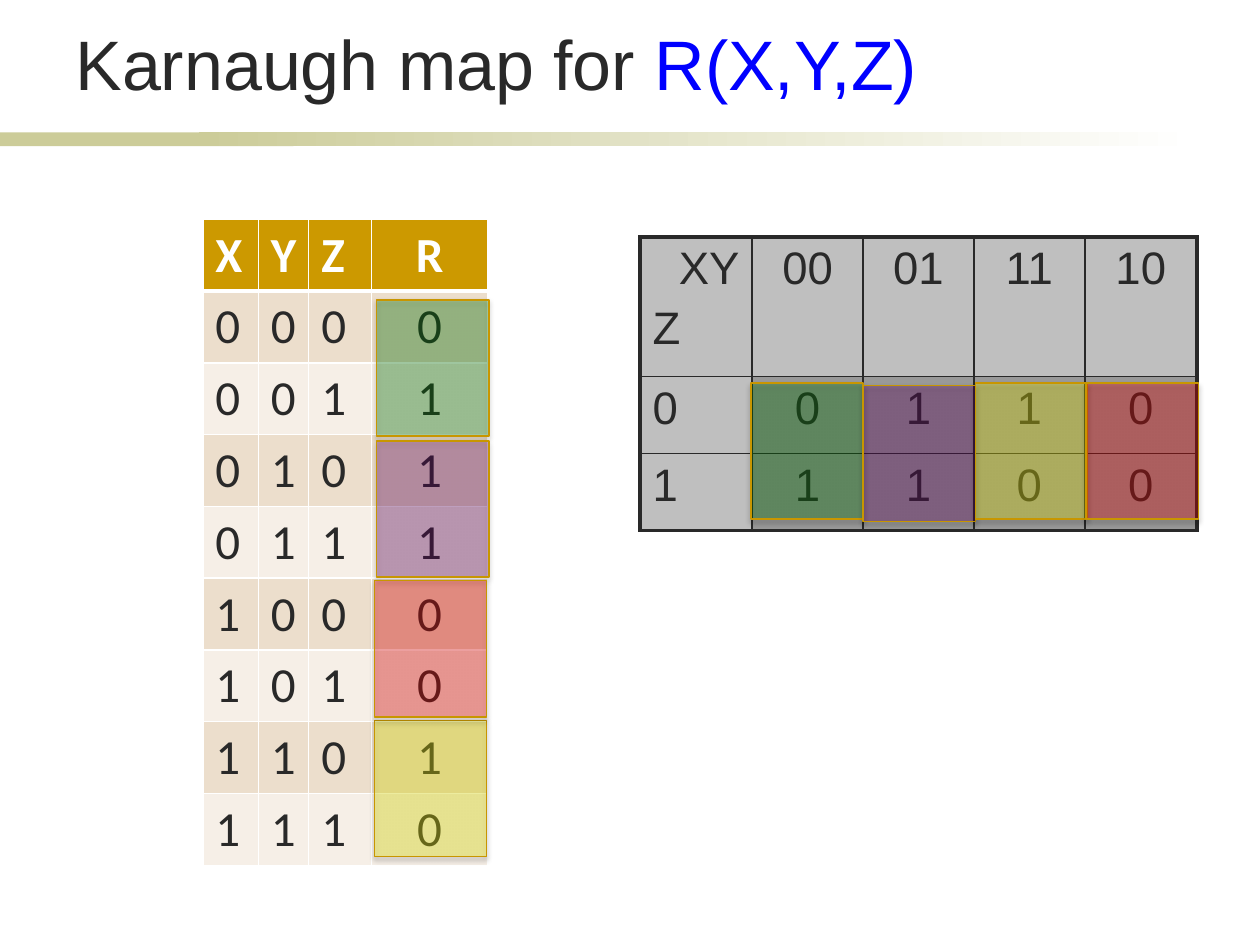
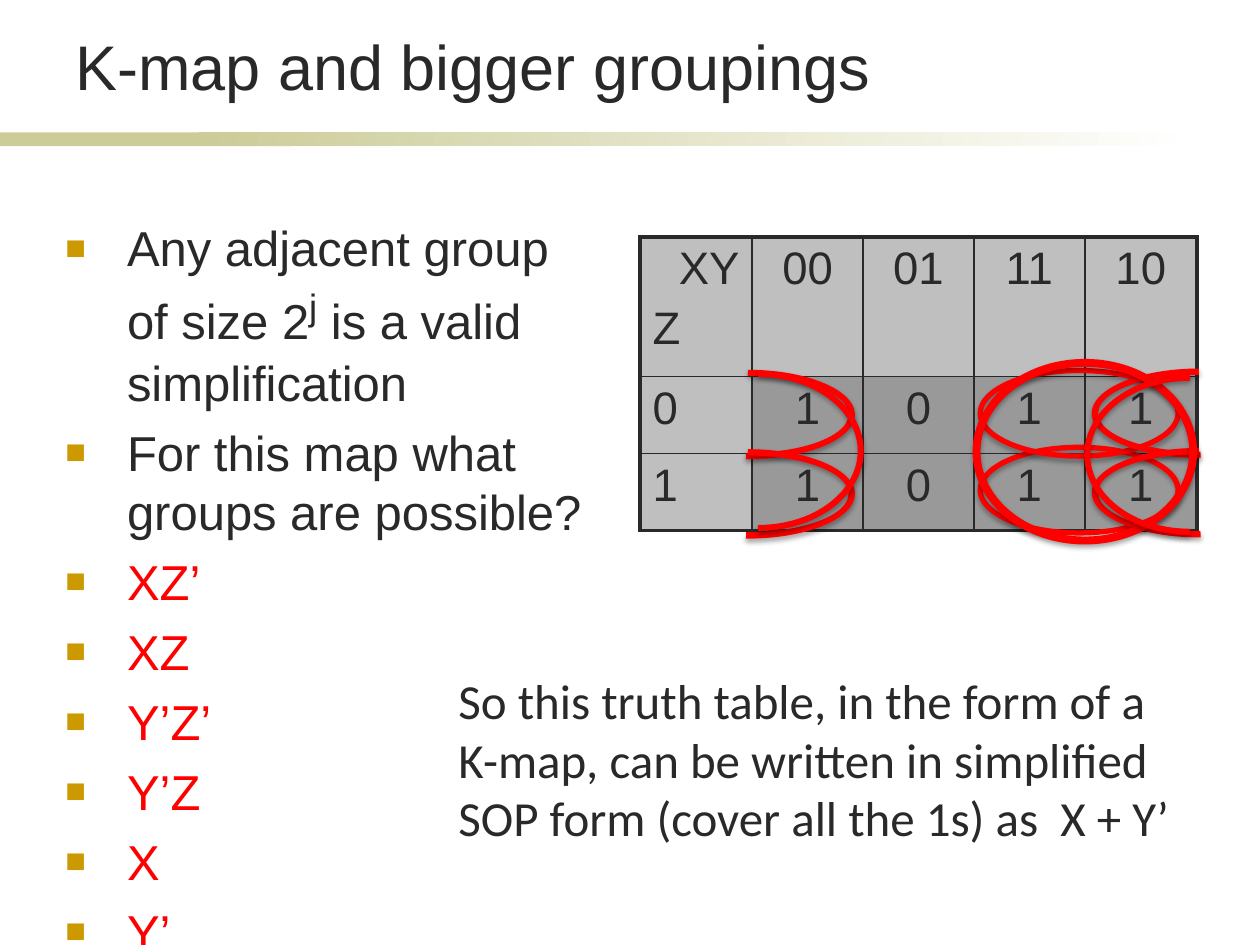
from lxml import etree
from pptx import Presentation
from pptx.dml.color import RGBColor
from pptx.enum.shapes import MSO_SHAPE
from pptx.enum.text import MSO_ANCHOR, PP_ALIGN
from pptx.oxml import parse_xml
from pptx.oxml.ns import nsdecls, qn
from pptx.util import Inches, Pt

COLORS = {
    "ink": "292929", "blue": "0000FF", "red": "FF0000", "white": "FFFFFF",
    "band": "CCCC99", "gold": "CC9900", "gold_line": "C89600",
    "label": "BFBFBF", "value": "999999", "odd": "ECDECC", "even": "F6EFE7",
    "green": "008000", "purple": "660066", "yellow": "FFFF00",
}

TITLE_1 = [("Karnaugh map for ", "ink"), ("R(X,Y,Z)", "blue")]
TITLE_2 = [("K-map and bigger groupings", "ink")]

TRUTH_TABLE = ["XYZR", "0000", "0011", "0101", "0111",
               "1000", "1010", "1101", "1110"]
TRUTH_LEFT, TRUTH_TOP = 1.61, 1.74
TRUTH_COLS = [0.44, 0.4, 0.5, 0.92]
TRUTH_ROW = 0.57

MAP_HEADS = ["00", "01", "11", "10"]
MAP_1 = ["0110", "1100"]
MAP_2 = ["1011", "1011"]
MAP_LEFT, MAP_TOP = 5.08, 1.88
MAP_COLS = [0.89, 0.88, 0.88, 0.88, 0.89]
MAP_ROWS = [1.11, 0.61, 0.61]

# colour, place over the truth table, place over the map
PAIR_SIZE = (0.89, 1.08)
PAIRS = [
    ("green", (2.99, 2.38), (5.96, 3.04)),
    ("purple", (2.99, 3.5), (6.85, 3.06)),
    ("yellow", (2.97, 5.72), (7.74, 3.04)),
    ("red", (2.97, 4.61), (8.62, 3.04)),
]

BULLETS = [
    [("Any adjacent group of size 2", "ink"), ("j", "ink", 36, 30),
     (" is a valid simplification", "ink")],
    [("For this map what groups are possible? ", "ink")],
] + [[(term, "red")] for term in ("XZ’", "XZ", "Y’Z’", "Y’Z", "X", "Y’")]
SUMMARY = [("So this truth table, in the form of a K-map, can be written in "
            "simplified SOP form (cover all the 1s) as  X + Y’", "ink")]

# place and line width of the closed loops
ROW_LOOPS = [((7.78, 3.55, 1.57, 0.68), 3), ((7.78, 2.94, 1.57, 0.68), 3)]
SQUARE_LOOP = ((7.75, 2.88, 1.72, 1.41), 4.5)
# left place, right place, size, adjustments, outline width
ROW_ARC = ((0.71, 1.7), (108, 1.443, 0.071), None)
WRAP_LOOPS = [
    ((5.58, 2.44), (9.16, 2.43), *ROW_ARC),
    ((5.58, 3.07), (9.16, 3.06), *ROW_ARC),
]
WRAP_SQUARE = ((5.39, 2.75), (8.81, 2.78), (1.26, 1.66), (108, 216, 0.03), 0.75)


def rgb(name):
    """Return the named colour."""
    return RGBColor.from_string(COLORS[name])


def write(paragraph, runs, size, font="Arial", bold=False):
    """Add runs given as (text, colour[, size, superscript percent])."""
    for text, color, *special in runs:
        run = paragraph.add_run()
        run.text = text
        run.font.name, run.font.bold = font, bold
        run.font.size = Pt(special[0] if special else size)
        run.font.color.rgb = rgb(color)
        if special:
            run._r.get_or_add_rPr().set("baseline", str(special[1] * 1000))


def add_text(slide, place, paragraphs, size, font="Arial", anchor=MSO_ANCHOR.TOP):
    """Add a wrapped text box and return its paragraphs."""
    frame = slide.shapes.add_textbox(*map(Inches, place)).text_frame
    frame.word_wrap = True
    frame.vertical_anchor = anchor
    for i, runs in enumerate(paragraphs):
        write(frame.add_paragraph() if i else frame.paragraphs[0], runs, size, font)
    return frame.paragraphs


def add_bullet(paragraph):
    """Give a paragraph a hanging gold square."""
    paragraph.space_before = Pt(6.4)
    props = paragraph._p.get_or_add_pPr()
    props.set("marL", str(Inches(0.49)))
    props.set("indent", str(-Inches(0.49)))
    for xml in (f'<a:buClr {nsdecls("a")}><a:srgbClr val="{COLORS["gold"]}"/></a:buClr>',
                f'<a:buSzPct {nsdecls("a")} val="70000"/>',
                f'<a:buFont {nsdecls("a")} typeface="Arial"/>',
                f'<a:buChar {nsdecls("a")} char="■"/>'):
        props.append(parse_xml(xml))


def add_shape(slide, kind, place, fill=None, opacity=100, line=None, width=1, shadow=True):
    """Add a preset shape, with a soft shadow below it if wanted."""
    shape = slide.shapes.add_shape(kind, *map(Inches, place))
    shape.shadow.inherit = False
    if fill:
        shape.fill.solid()
        shape.fill.fore_color.rgb = rgb(fill)
        if opacity < 100:
            color = shape._element.spPr.find(qn("a:solidFill"))[0]
            etree.SubElement(color, qn("a:alpha"), val=str(opacity * 1000))
    else:
        shape.fill.background()
    if line:
        shape.line.color.rgb = rgb(line)
        shape.line.width = Pt(width)
    else:
        shape.line.fill.background()
    if shadow:
        shape._element.spPr.find(qn("a:effectLst")).append(parse_xml(
            f'<a:outerShdw {nsdecls("a")} blurRad="{Pt(3.1)}" dist="{Pt(1.8)}" '
            'dir="5400000" rotWithShape="0"><a:srgbClr val="000000">'
            '<a:alpha val="35000"/></a:srgbClr></a:outerShdw>'))
    return shape


def add_table(slide, left, top, cols, rows):
    """Add a table without banding, sized by its columns and rows."""
    table = slide.shapes.add_table(
        len(rows), len(cols), Inches(left), Inches(top),
        Inches(sum(cols)), Inches(sum(rows))).table
    table.first_row = table.horz_banding = False
    for column, width in zip(table.columns, cols):
        column.width = Inches(width)
    for row, height in zip(table.rows, rows):
        row.height = Inches(height)
    return table


def style_cell(cell, fill, line, widths):
    """Fill a cell and draw its left, right, top and bottom borders."""
    props = cell._tc.get_or_add_tcPr()
    for side, width in zip("LRTB", widths):
        props.append(parse_xml(
            f'<a:ln{side} {nsdecls("a")} w="{Pt(width)}"><a:solidFill>'
            f'<a:srgbClr val="{COLORS[line]}"/></a:solidFill></a:ln{side}>'))
    cell.fill.solid()
    cell.fill.fore_color.rgb = rgb(fill)


def add_truth_table(slide):
    """Add the truth table of R."""
    table = add_table(slide, TRUTH_LEFT, TRUTH_TOP, TRUTH_COLS,
                      [TRUTH_ROW] * len(TRUTH_TABLE))
    for r, values in enumerate(TRUTH_TABLE):
        head = r == 0
        fill = "gold" if head else "odd" if r % 2 else "even"
        for c, value in enumerate(values):
            cell = table.cell(r, c)
            style_cell(cell, fill, "white", (1, 1, 3 if r == 1 else 1, 3 if head else 1))
            paragraph = cell.text_frame.paragraphs[0]
            if c == len(values) - 1:
                paragraph.alignment = PP_ALIGN.CENTER
            write(paragraph, [(value, "white" if head else "ink")], 28, "Calibri", head)


def add_map(slide, values):
    """Add a Karnaugh map with XY across and Z down."""
    table = add_table(slide, MAP_LEFT, MAP_TOP, MAP_COLS, MAP_ROWS)
    grid = [["XY", *MAP_HEADS]] + [[str(z), *row] for z, row in enumerate(values)]
    last_row, last_col = len(MAP_ROWS) - 1, len(MAP_COLS) - 1
    for r, row in enumerate(grid):
        for c, text in enumerate(row):
            cell = table.cell(r, c)
            outer = (c == 0, c == last_col, r == 0, r == last_row)
            style_cell(cell, "value" if r and c else "label", "ink",
                       [2.25 if edge else 1 for edge in outer])
            frame = cell.text_frame
            paragraph = frame.paragraphs[0]
            write(paragraph, [(text, "ink")], 26)
            if c:
                paragraph.alignment = PP_ALIGN.CENTER
            elif r == 0:
                paragraph.alignment = PP_ALIGN.RIGHT
                write(frame.add_paragraph(), [("Z", "ink")], 26)
            for paragraph in frame.paragraphs:
                paragraph.space_before = Pt(5.2)


def add_loop(slide, place, width):
    """Draw a closed red loop."""
    add_shape(slide, MSO_SHAPE.OVAL, place, line="red", width=width)


def add_wrap(slide, left_place, right_place, size, adjustments, width):
    """Draw two half loops that wrap round the edges of the map."""
    for place, angle in ((left_place, 90), (right_place, 270)):
        arc = add_shape(slide, MSO_SHAPE.BLOCK_ARC, (*place, *size), "red",
                        line="red" if width else None, width=width)
        for i, value in enumerate(adjustments):
            arc.adjustments[i] = value
        arc.rotation = angle
        if angle == 270:
            arc._element.spPr.find(qn("a:xfrm")).set("flipH", "1")


def add_slide(deck, title, place, size):
    """Add a slide with the shared band and a title."""
    slide = deck.slides.add_slide(deck.slide_layouts[6])
    add_shape(slide, MSO_SHAPE.RECTANGLE, (0, 1.05, 2.33, 0.11), "band", shadow=False)
    fade = add_shape(slide, MSO_SHAPE.RECTANGLE, (1.58, 1.05, 7.92, 0.11), shadow=False)
    fade.fill.gradient()
    fade.fill.gradient_angle = 0
    for stop, color in zip(fade.fill.gradient_stops, ("band", "white")):
        stop.color.rgb = rgb(color)
    add_text(slide, place, [title], size, anchor=MSO_ANCHOR.BOTTOM)
    return slide


deck = Presentation()
deck.slide_width, deck.slide_height = Inches(10), Inches(7.5)

function_slide = add_slide(deck, TITLE_1, (0.5, 0.13, 8.25, 0.75), 40)
add_map(function_slide, MAP_1)
add_truth_table(function_slide)
for color, *places in PAIRS:
    for place in places:
        add_shape(function_slide, MSO_SHAPE.RECTANGLE, (*place, *PAIR_SIZE), color,
                  opacity=30, line="gold_line", width=0.75)

grouping_slide = add_slide(deck, TITLE_2, (0.5, 0.13, 9, 0.74), 36)
for bullet in add_text(grouping_slide, (0.42, 1.68, 4.4, 5.44), BULLETS, 28):
    add_bullet(bullet)
add_map(grouping_slide, MAP_2)
for loop in ROW_LOOPS:
    add_loop(grouping_slide, *loop)
for wrap in WRAP_LOOPS:
    add_wrap(grouping_slide, *wrap)
add_loop(grouping_slide, *SQUARE_LOOP)
add_wrap(grouping_slide, *WRAP_SQUARE)
add_text(grouping_slide, (3.54, 5.27, 5.96, 1.51), [SUMMARY], 28, "Calibri")

deck.save("out.pptx")
